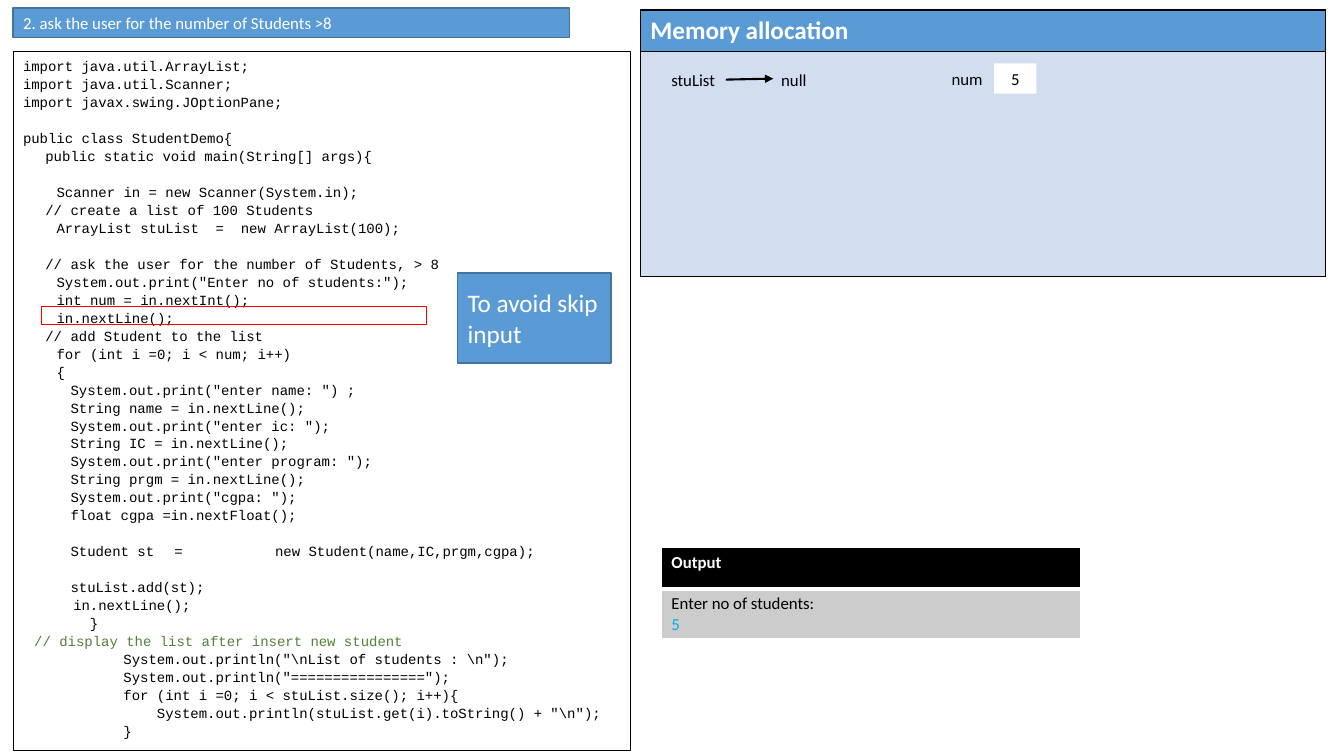
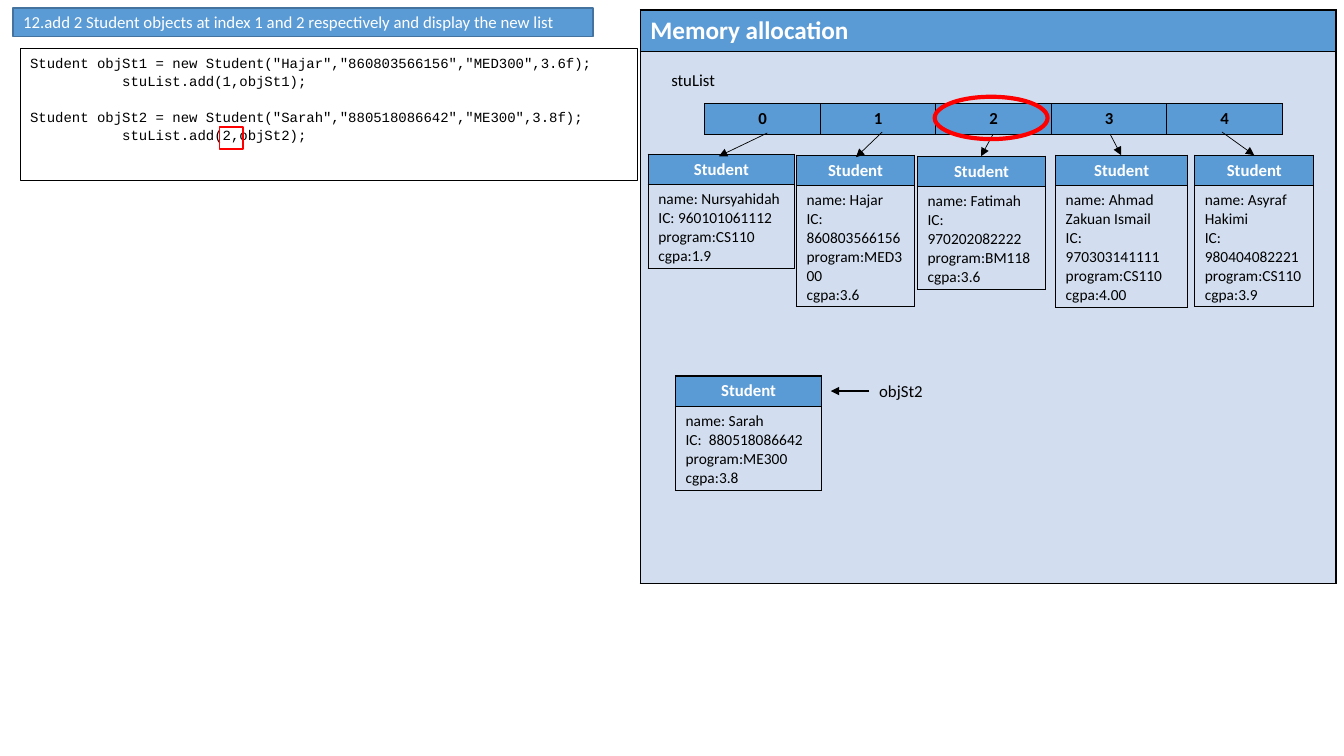
from lxml.etree import SubElement
from pptx import Presentation
from pptx.dml.color import RGBColor
from pptx.enum.shapes import MSO_CONNECTOR, MSO_SHAPE
from pptx.enum.text import MSO_ANCHOR, MSO_AUTO_SIZE, PP_ALIGN
from pptx.oxml.ns import qn
from pptx.util import Inches, Pt

# Shared look
BLUE, DARK_BLUE, PALE_BLUE = "5B9BD5", "43739E", "D2DEEF"
BLACK, WHITE, RED = "000000", "FFFFFF", "FF0000"
GREY, CYAN, GREEN = "CCCCCC", "00B0F0", "538135"
BODY_FONT, CODE_FONT = "Calibri", "Courier New"
TAB_COUNT, TABS_PER_INCH = 8, 9
MEMORY_LEFT, MEMORY_TOP, HEADER_HEIGHT = 6.35, 0.1, 0.41

STUDENT_DEMO = [
    'import java.util.ArrayList;',
    'import java.util.Scanner;',
    'import javax.swing.JOptionPane;',
    '',
    'public class StudentDemo{',
    '\t\tpublic static void main(String[] args){',
    '',
    '\t \t\tScanner in = new Scanner(System.in);',
    '\t \t// create a list of 100 Students',
    '\t\t\tArrayList stuList  =  new ArrayList(100);',
    '',
    '\t\t// ask the user for the number of Students, > 8',
    '\t\t\tSystem.out.print("Enter no of students:");',
    '\t\t\tint num = in.nextInt();',
    '\t\t\tin.nextLine();',
    '\t\t// add Student to the list',
    '\t\t\tfor (int i =0; i < num; i++)',
    '\t\t\t{',
    '\t\t   System.out.print("enter name: ") ;',
    '\t\t   String name = in.nextLine();',
    '\t\t   System.out.print("enter ic: ");',
    '\t\t   String IC = in.nextLine();',
    '\t\t   System.out.print("enter program: ");',
    '\t\t   String prgm = in.nextLine();',
    '\t\t   System.out.print("cgpa: ");',
    '\t\t   float cgpa =in.nextFloat();',
    '',
    '\t\t   Student st  \t=\t\tnew Student(name,IC,prgm,cgpa);',
    '',
    '\t\t   stuList.add(st);',
    '      in.nextLine();',
    '        }',
    '\t// display the list after insert new student',
    '            System.out.println("\\nList of students : \\n");',
    '            System.out.println("================");',
    '            for (int i =0; i < stuList.size(); i++){',
    '                System.out.println(stuList.get(i).toString() + "\\n");',
    '            }',
]

ADD_STUDENTS = [
    'Student objSt1 = new Student("Hajar","860803566156","MED300",3.6f);',
    '           stuList.add(1,objSt1);',
    '',
    'Student objSt2 = new Student("Sarah","880518086642","ME300",3.8f);',
    '           stuList.add(2,objSt2);',
]

# Box, details and pointer (from, to) of each listed student
STUDENTS = [
    ((6.43, 1.53, 1.45, 1.13),
     ["name: Nursyahidah", "IC: 960101061112", "program:CS110", "cgpa:1.9"],
     ((7.61, 1.32), (7.13, 1.55))),
    ((7.9, 1.54, 1.17, 1.5),
     ["name: Hajar", "IC:  860803566156", "program:MED300", "cgpa:3.6"],
     ((8.75, 1.31), (8.49, 1.56))),
    ((9.1, 1.55, 1.27, 1.32),
     ["name: Fatimah", "IC: 970202082222", "program:BM118", "cgpa:3.6"],
     ((9.85, 1.33), (9.73, 1.55))),
    ((10.47, 1.54, 1.31, 1.51),
     ["name: Ahmad Zakuan Ismail", "IC: 970303141111", "program:CS110", "cgpa:4.00"],
     ((11.01, 1.33), (11.12, 1.54))),
    ((11.85, 1.54, 1.18, 1.5),
     ["name: Asyraf Hakimi", "IC: 980404082221", "program:CS110", "cgpa:3.9"],
     ((12.12, 1.31), (12.44, 1.54))),
]


def color(hex_text):
    return RGBColor.from_string(hex_text)


def inches(box):
    return [Inches(length) for length in box]


def write(frame, lines, size=12, ink=BLACK, bold=False, align=PP_ALIGN.LEFT):
    """Fill a text frame with one paragraph per line."""
    frame.text = "\n".join(lines)
    for paragraph in frame.paragraphs:
        paragraph.alignment = align
        font = paragraph.font
        font.name, font.size, font.bold = BODY_FONT, Pt(size), bold
        font.color.rgb = color(ink)


def paint(shape, fill=None, line=None, width=1.0):
    if fill:
        shape.fill.solid()
        shape.fill.fore_color.rgb = color(fill)
    else:
        shape.fill.background()
    if line:
        shape.line.color.rgb = color(line)
        shape.line.width = Pt(width)
    else:
        shape.line.fill.background()


def add_box(slide, box, fill=None, line=None, width=1.0, kind=MSO_SHAPE.RECTANGLE):
    shape = slide.shapes.add_shape(kind, *inches(box))
    shape.shadow.inherit = False
    paint(shape, fill, line, width)
    shape.text_frame.word_wrap = True
    return shape


def add_label(slide, box, text, align=PP_ALIGN.LEFT):
    frame = slide.shapes.add_textbox(*inches(box)).text_frame
    frame.word_wrap = True
    write(frame, [text], align=align)


def add_arrow(slide, start, end, width):
    arrow = slide.shapes.add_connector(MSO_CONNECTOR.STRAIGHT, *inches(start + end))
    arrow.line.color.rgb = color(BLACK)
    arrow.line.width = Pt(width)
    SubElement(arrow.line._get_or_add_ln(), qn("a:tailEnd"), type="triangle")
    SubElement(arrow._element.spPr, qn("a:effectLst"))


def style_cell(cell, fill, border=BLACK, bottom_width=1):
    """Set the four borders, then the fill."""
    properties = cell._tc.get_or_add_tcPr()
    for side, width in (("L", 1), ("R", 1), ("T", 1), ("B", bottom_width)):
        line = SubElement(properties, qn(f"a:ln{side}"), w=str(Pt(width)))
        solid = SubElement(line, qn("a:solidFill"))
        SubElement(solid, qn("a:srgbClr"), val=border)
    cell.fill.solid()
    cell.fill.fore_color.rgb = color(fill)


def add_grid(slide, box, row_heights, column_count=1):
    table = slide.shapes.add_table(len(row_heights), column_count, *inches(box)).table
    table.first_row = table.horz_banding = False
    for row, height in zip(table.rows, row_heights):
        row.height = Inches(height)
    return table


def add_title(slide, box, text):
    """Blue title band."""
    title = slide.shapes.title
    title.left, title.top, title.width, title.height = inches(box)
    paint(title, BLUE, DARK_BLUE)
    frame = title.text_frame
    write(frame, [text], ink=WHITE)
    frame.word_wrap = True
    frame.auto_size = MSO_AUTO_SIZE.NONE
    frame.vertical_anchor = MSO_ANCHOR.MIDDLE


def add_code(slide, box, lines, green_comment=None):
    """Framed listing with narrow tab stops."""
    frame = add_box(slide, box, WHITE, BLACK, 0.75).text_frame
    frame.vertical_anchor = MSO_ANCHOR.TOP
    for number, line in enumerate(lines):
        paragraph = frame.paragraphs[0] if number == 0 else frame.add_paragraph()
        paragraph.alignment = PP_ALIGN.LEFT
        paragraph.line_spacing = 1.07
        stops = SubElement(paragraph._p.get_or_add_pPr(), qn("a:tabLst"))
        for stop in range(1, TAB_COUNT + 1):
            SubElement(stops, qn("a:tab"), pos=str(Inches(stop / TABS_PER_INCH)), algn="l")
        paragraph.add_run().text = line or "\t"
        font = paragraph.font
        font.name, font.size = CODE_FONT, Pt(10)
        font.color.rgb = color(GREEN if line.strip() == green_comment else BLACK)


def add_memory(slide, width, body_height):
    """Memory panel with the list variable's name."""
    box = (MEMORY_LEFT, MEMORY_TOP, width, HEADER_HEIGHT + body_height)
    table = add_grid(slide, box, [HEADER_HEIGHT, body_height])
    header, body = table.cell(0, 0), table.cell(1, 0)
    write(header.text_frame, ["Memory allocation"], 18, WHITE, True)
    style_cell(header, BLUE)
    style_cell(body, PALE_BLUE)
    add_label(slide, (MEMORY_LEFT + 0.21, MEMORY_TOP + 0.54, 0.64, 0.3), "stuList")


def add_output(slide, box, prompt, answer):
    """Console output: prompt and typed answer."""
    table = add_grid(slide, box, [0.41, box[3] - 0.41])
    header, body = table.cell(0, 0), table.cell(1, 0)
    write(header.text_frame, ["Output"], ink=WHITE, bold=True)
    style_cell(header, BLACK, WHITE, 3)
    write(body.text_frame, [prompt, answer])
    body.text_frame.paragraphs[1].font.color.rgb = color(CYAN)
    style_cell(body, GREY, WHITE)


def add_index_row(slide, box, count):
    table = add_grid(slide, box, [box[3]], count)
    for index in range(count):
        cell = table.cell(0, index)
        write(cell.text_frame, [str(index)], bold=True, align=PP_ALIGN.CENTER)
        style_cell(cell, BLUE)


def add_student(slide, box, details):
    """Card for one Student object."""
    table = add_grid(slide, box, [0.3, box[3] - 0.3])
    header, body = table.cell(0, 0), table.cell(1, 0)
    write(header.text_frame, ["Student"], ink=WHITE, bold=True, align=PP_ALIGN.CENTER)
    style_cell(header, BLUE)
    write(body.text_frame, details, 11)
    style_cell(body, PALE_BLUE)


def build_input_slide(slide):
    add_title(slide, (0.13, 0.08, 5.52, 0.29), "2. ask the user for the number of Students >8")
    add_code(slide, (0.13, 0.51, 6.12, 6.94), STUDENT_DEMO,
             "// display the list after insert new student")
    add_box(slide, (0.41, 3.04, 3.82, 0.18), line=RED)

    # Variables in memory
    add_memory(slide, 6.8, 2.23)
    add_arrow(slide, (7.2, 0.79), (7.67, 0.78), 1.5)
    add_label(slide, (7.65, 0.64, 0.6, 0.3), "null")
    add_label(slide, (9.34, 0.63, 0.64, 0.3), "num")
    value = add_box(slide, (9.86, 0.63, 0.42, 0.3), WHITE)
    write(value.text_frame, ["5"], align=PP_ALIGN.CENTER)

    add_output(slide, (6.56, 5.43, 4.16, 0.91), "Enter no of students:", "5")

    # Remark on the marked line
    remark = add_box(slide, (4.54, 2.71, 1.52, 0.89), BLUE, DARK_BLUE)
    write(remark.text_frame, ["To avoid skip input"], 18, WHITE)


def build_insert_slide(slide):
    add_title(slide, (0.13, 0.08, 5.75, 0.28),
              "12.add 2 Student objects at index 1 and 2 respectively and display the new list")
    add_code(slide, (0.2, 0.48, 6.12, 1.31), ADD_STUDENTS)
    add_box(slide, (2.18, 1.26, 0.23, 0.22), line=RED)

    # List with its students
    add_memory(slide, 6.9, 5.28)
    add_index_row(slide, (6.99, 1.03, 5.73, 0.3), len(STUDENTS))
    for box, details, (start, end) in STUDENTS:
        add_student(slide, box, details)
        add_arrow(slide, start, end, 0.5)
    add_box(slide, (9.27, 0.96, 1.12, 0.42), line=RED, width=3, kind=MSO_SHAPE.OVAL)

    # New student
    add_student(slide, (6.7, 3.73, 1.45, 1.13),
                ["name: Sarah", "IC:  880518086642", "program:ME300", "cgpa:3.8"])
    add_label(slide, (8.59, 3.73, 0.69, 0.3), "objSt2", PP_ALIGN.CENTER)
    add_arrow(slide, (8.62, 3.88), (8.24, 3.88), 1.5)


def main():
    presentation = Presentation()
    presentation.slide_width, presentation.slide_height = inches((13.33, 7.5))
    title_only = presentation.slide_layouts[5]
    for build in (build_input_slide, build_insert_slide):
        build(presentation.slides.add_slide(title_only))
    presentation.save("out.pptx")


if __name__ == "__main__":
    main()
